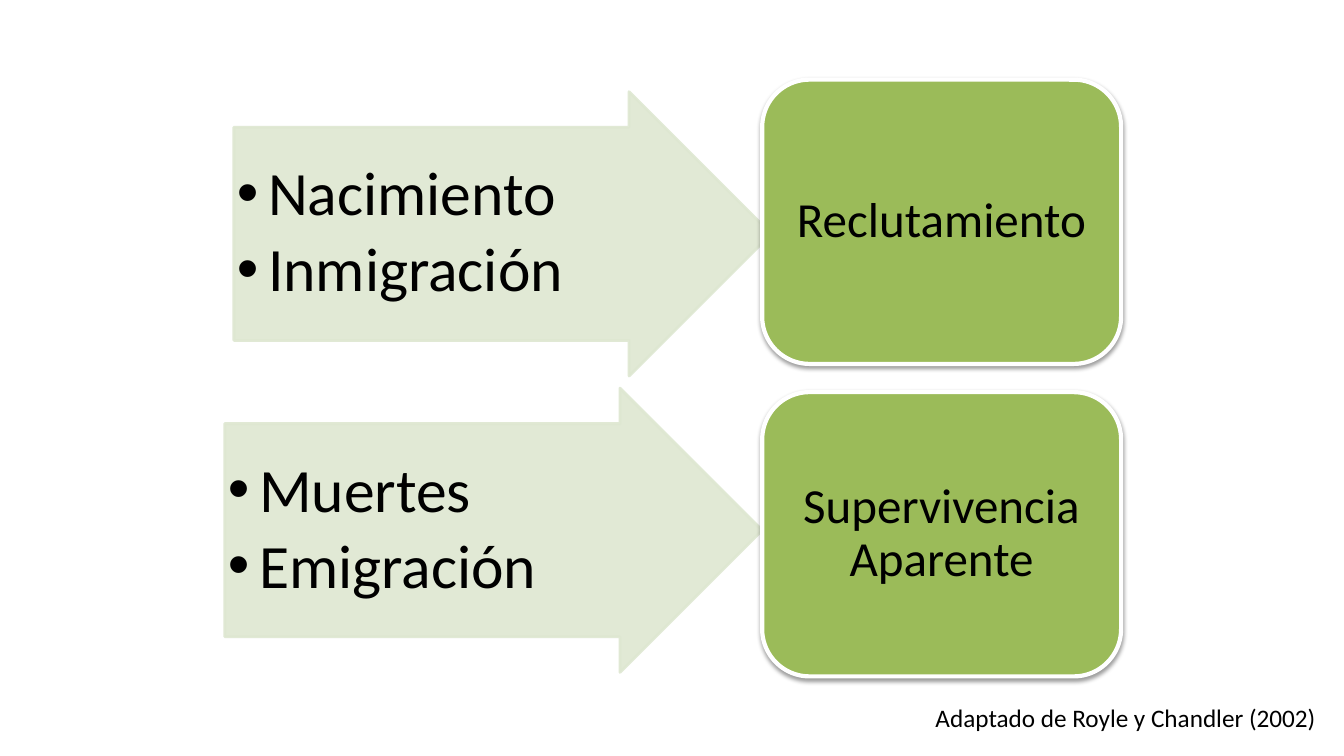
from lxml import etree
from pptx import Presentation
from pptx.dml.color import RGBColor
from pptx.enum.shapes import MSO_SHAPE as SHAPE
from pptx.enum.text import MSO_ANCHOR as ANCHOR, MSO_AUTO_SIZE as AUTO_SIZE, PP_ALIGN as ALIGN
from pptx.oxml.ns import qn
from pptx.util import Emu, Pt

EMU_PER_PX = 9144  # 100 px to the inch
FONT = "Calibri"
BLACK = RGBColor(0x00, 0x00, 0x00)
WHITE = RGBColor(0xFF, 0xFF, 0xFF)
GREEN = RGBColor(0x9B, 0xBB, 0x59)
PALE_GREEN = RGBColor(0xDE, 0xE7, 0xD1)

ARROW_SIZE = (533, 282)
BOX_SIZE = (356, 282)
BOX_LEFT = 756
# arrow left, arrow top, causes, box top, outcome
ROWS = [
    (232, 91, ["Nacimiento", "Inmigración"], 79, "Reclutamiento"),
    (223, 385, ["Muertes", "Emigración"], 389, "Supervivencia Aparente"),
]


def px(n):
    return Emu(n * EMU_PER_PX)


def sub(parent, tag, **attrs):
    return etree.SubElement(parent, qn(tag), {k: str(v) for k, v in attrs.items()})


def apply(obj, values):
    for name, value in values.items():
        setattr(obj, name, value)


def write(tf, lines, size, margins=None, **paragraph_format):
    """Fill a text frame with one paragraph per line; margins are (x, y) in px."""
    if margins:
        x, y = map(px, margins)
        apply(tf, dict(margin_left=x, margin_right=x, margin_top=y, margin_bottom=y))
    for i, line in enumerate(lines):
        p = tf.paragraphs[0] if i == 0 else tf.add_paragraph()
        apply(p, paragraph_format)
        r = p.add_run()
        r.text = line
        apply(r.font, dict(name=FONT, size=Pt(size)))
        r.font.color.rgb = BLACK


def add_block(s, kind, left, top, size, fill, line, line_width):
    sp = s.shapes.add_shape(kind, px(left), px(top), *map(px, size))
    sp.shadow.inherit = False
    sp.fill.solid()
    sp.fill.fore_color.rgb = fill
    sp.line.color.rgb = line
    sp.line.width = Pt(line_width)
    apply(sp.text_frame, dict(word_wrap=True, vertical_anchor=ANCHOR.MIDDLE))
    return sp


def add_bullets(tf, indent):
    for p in tf.paragraphs:
        pPr = p._p.get_or_add_pPr()
        pPr.set("marL", str(px(indent)))
        pPr.set("indent", str(px(-indent)))
        sub(pPr, "a:buFont", typeface="Arial")
        sub(pPr, "a:buChar", char="•")


def add_cause_arrow(s, left, top, causes):
    sp = add_block(s, SHAPE.RIGHT_ARROW, left, top, ARROW_SIZE, PALE_GREEN, PALE_GREEN, 2)
    sp.adjustments[0] = 0.75
    sp.adjustments[1] = 0.5
    for color in sp._element.spPr.iter(qn("a:srgbClr")):
        sub(color, "a:alpha", val=90000)
    write(sp.text_frame, causes, 44, (3, 3), alignment=ALIGN.LEFT,
          line_spacing=0.9, space_after=Pt(6.6))
    add_bullets(sp.text_frame, 31)


def add_outcome_box(s, top, outcome):
    sp = add_block(s, SHAPE.ROUNDED_RECTANGLE, BOX_LEFT, top, BOX_SIZE, GREEN, WHITE, 3)
    effects = sp._element.spPr.find(qn("a:effectLst"))
    shadow = sub(effects, "a:outerShdw", blurRad=Pt(3.1), dist=Pt(1.6),
                 dir=90 * 60000, rotWithShape=0)
    sub(sub(shadow, "a:srgbClr", val=BLACK), "a:alpha", val=38000)
    write(sp.text_frame, [outcome], 35, (15, 7), alignment=ALIGN.CENTER, line_spacing=0.9)


def add_credit(s, text):
    tf = s.shapes.add_textbox(px(918), px(692), px(402), px(40)).text_frame
    apply(tf, dict(word_wrap=False, auto_size=AUTO_SIZE.SHAPE_TO_FIT_TEXT))
    write(tf, [text], 18)


def main():
    prs = Presentation()
    apply(prs, dict(slide_width=px(1333), slide_height=px(750)))
    s = prs.slides.add_slide(prs.slide_layouts[6])
    for arrow_left, arrow_top, causes, box_top, outcome in ROWS:
        add_cause_arrow(s, arrow_left, arrow_top, causes)
        add_outcome_box(s, box_top, outcome)
    add_credit(s, "Adaptado de Royle y Chandler (2002)")
    prs.save("out.pptx")


if __name__ == "__main__":
    main()
